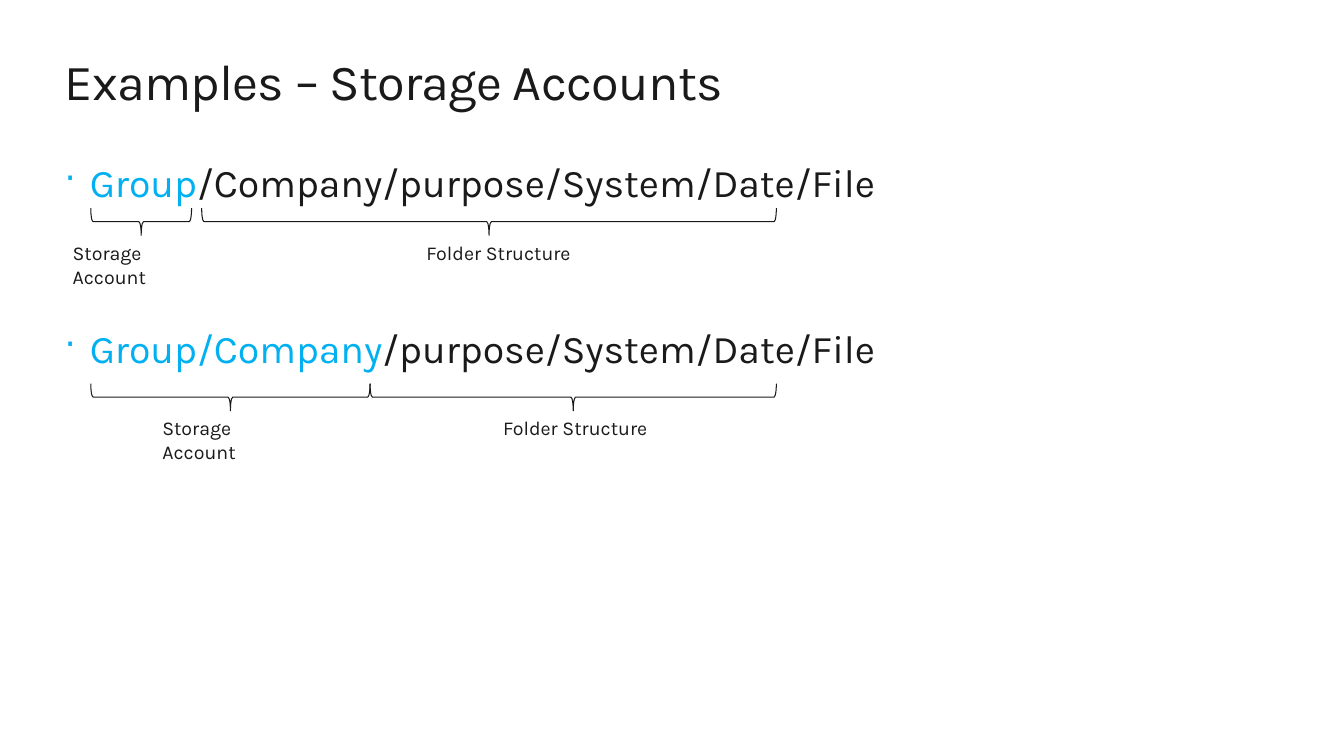
from dataclasses import dataclass

from lxml.etree import SubElement
from pptx import Presentation
from pptx.dml.color import RGBColor
from pptx.enum.shapes import MSO_SHAPE
from pptx.oxml.ns import qn
from pptx.util import Inches, Pt


@dataclass(frozen=True)
class Theme:
    font: str = "Karla"
    ink: RGBColor = RGBColor(0x1A, 0x1A, 0x1A)
    accent: RGBColor = RGBColor(0x00, 0xB0, 0xF0)
    title: int = 36
    body: int = 28
    label: int = 14
    line: float = 0.75


class Deck:
    def __init__(self, theme):
        self.theme = theme
        self.prs = Presentation()
        self.prs.slide_width = Inches(13.33)
        self.prs.slide_height = Inches(7.5)
        self.slide = self.prs.slides.add_slide(self.prs.slide_layouts[6])

    def frame(self, left, top, width, height):
        """Add a text box without margins and return its text frame."""
        box = self.slide.shapes.add_textbox(
            Inches(left), Inches(top), Inches(width), Inches(height))
        frame = box.text_frame
        frame.word_wrap = True
        frame.margin_left = frame.margin_right = 0
        frame.margin_top = frame.margin_bottom = 0
        return frame

    def run(self, para, text, size, color):
        run = para.add_run()
        run.text = text
        run.font.name = self.theme.font
        run.font.size = Pt(size)
        run.font.color.rgb = color
        return run

    def title(self, text):
        para = self.frame(0.64, 0.5, 12.05, 0.61).paragraphs[0]
        run = self.run(para, text, self.theme.title, self.theme.ink)
        run.font._element.set("spc", "-50")

    def bullets(self, items, gap):
        """Add (account, folders) paths as bullets, gap points apart."""
        frame = self.frame(0.64, 1.57, 12.05, 2.73)
        for index, (account, folders) in enumerate(items):
            para = frame.add_paragraph() if index else frame.paragraphs[0]
            para.space_before = Pt(gap if index else 0)
            props = para._p.get_or_add_pPr()
            props.set("marL", str(Inches(0.25)))
            props.set("indent", str(-Inches(0.25)))
            SubElement(props, qn("a:buSzPct"), val="90000")
            SubElement(props, qn("a:buChar"), char="·")
            self.run(para, account, self.theme.body, self.theme.accent)
            self.run(para, folders, self.theme.body, self.theme.ink)

    def brace(self, start, end, middle):
        """Add a downward brace from start to end, centred on height middle."""
        depth, span = 0.27, end - start
        brace = self.slide.shapes.add_shape(
            MSO_SHAPE.RIGHT_BRACE,
            Inches((start + end - depth) / 2), Inches(middle - span / 2),
            Inches(depth), Inches(span))
        brace.rotation = 90
        brace.shadow.inherit = False
        brace.fill.background()
        brace.line.color.rgb = self.theme.ink
        brace.line.width = Pt(self.theme.line)

    def label(self, text, left, top):
        para = self.frame(left, top, 1.46, 0.24).paragraphs[0]
        self.run(para, text, self.theme.label, self.theme.ink)


def main():
    deck = Deck(Theme())
    deck.title("Examples – Storage Accounts")
    deck.bullets([
        ("Group", "/Company/purpose/System/Date/File"),
        ("Group/Company", "/purpose/System/Date/File"),
    ], gap=85)

    account, folder = "Storage Account", "Folder Structure"
    rows = [
        (2.2, [(account, 0.9, 1.9, 0.72), (folder, 2, 7.7, 4.23)]),
        (3.94, [(account, 0.9, 3.67, 1.61), (folder, 3.67, 7.7, 4.99)]),
    ]
    for middle, parts in rows:
        for text, start, end, left in parts:
            deck.brace(start, end, middle)
            deck.label(text, left, middle + 0.19)
    deck.prs.save("out.pptx")


if __name__ == "__main__":
    main()
